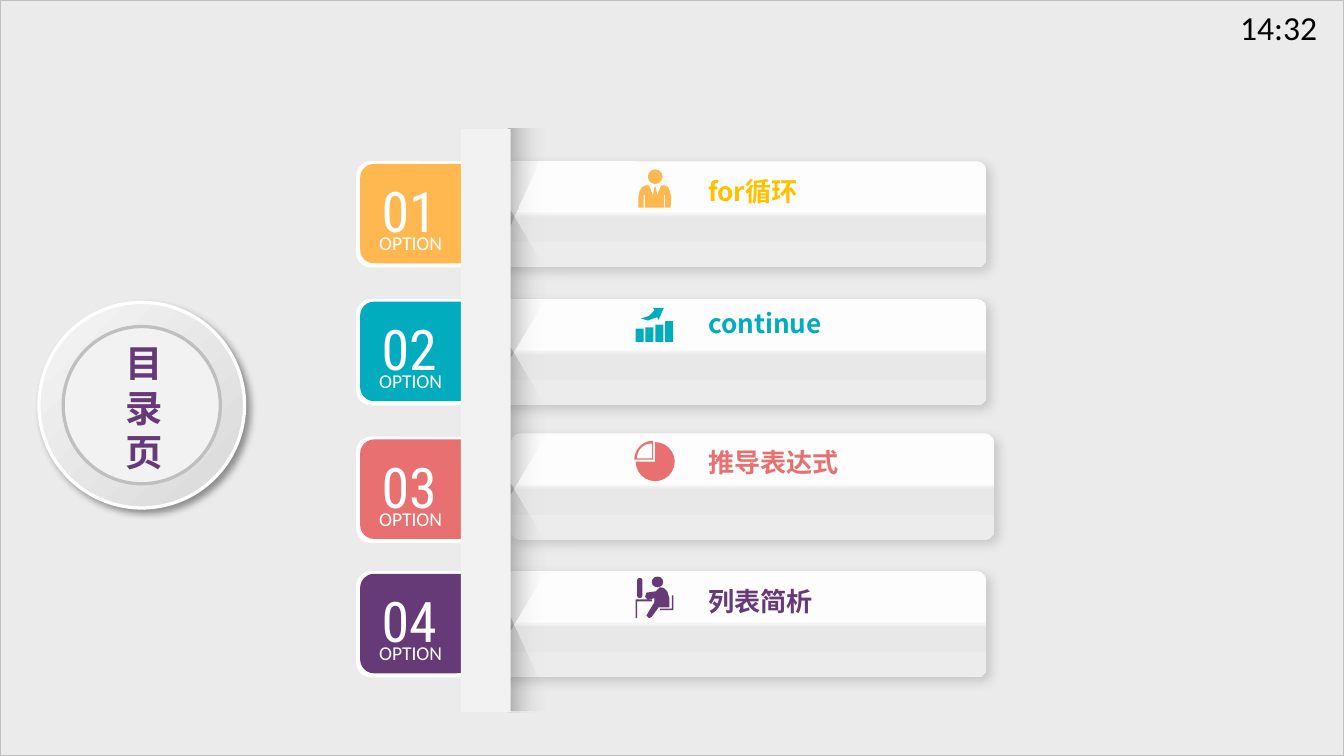
from math import cos, pi, sin
from lxml.etree import SubElement
from pptx import Presentation
from pptx.dml.color import RGBColor
from pptx.enum.shapes import MSO_SHAPE as KIND
from pptx.enum.text import MSO_ANCHOR, PP_ALIGN
from pptx.oxml.ns import qn
from pptx.util import Inches, Pt

CELL = Inches(0.1)
WIDE, HIGH = 100, 56.25
CJK = "Noto Sans CJK SC"
WHITE, PALE, GOLD, TEAL, ROSE, PLUM = (
    "FFFFFF", "F2F2F2", "FFB850", "01ACBE", "E87071", "663A77")


def color(code):
    return RGBColor.from_string(code)


def cells(*sizes):
    return [round(size * CELL) for size in sizes]


def paint(shape, fill, edge=None, width=1.75):
    shape.shadow.inherit = False
    if isinstance(fill, str):
        shape.fill.solid()
        shape.fill.fore_color.rgb = color(fill)
    else:
        blend(shape, *fill)
    if edge:
        shape.line.color.rgb = color(edge)
        shape.line.width = Pt(width)
    else:
        shape.line.fill.background()
    return shape


def blend(shape, angle, *stops):
    shape.fill.background()
    blank = shape.element.spPr.find(qn("a:noFill"))
    grad = blank.makeelement(qn("a:gradFill"), {"rotWithShape": "1"})
    stack = SubElement(grad, qn("a:gsLst"))
    for place, code, alpha in stops:
        stop = SubElement(stack, qn("a:gs"), pos=str(place * 1000))
        tint = SubElement(stop, qn("a:srgbClr"), val=code)
        SubElement(tint, qn("a:alpha"), val=str(alpha * 1000))
    SubElement(grad, qn("a:lin"), ang=str(angle * 60000), scaled="0")
    blank.getparent().replace(blank, grad)


def shade(shape, alpha, blur, dist):
    effects = shape.element.spPr.find(qn("a:effectLst"))
    drop = SubElement(effects, qn("a:outerShdw"), blurRad=str(Pt(blur)),
                      dist=str(Pt(dist)), dir="2700000", algn="tl", rotWithShape="0")
    tint = SubElement(drop, qn("a:srgbClr"), val="000000")
    SubElement(tint, qn("a:alpha"), val=str(alpha * 1000))


def block(slide, box, fill, kind=KIND.RECTANGLE, adj=None, **edge):
    shape = slide.shapes.add_shape(kind, *cells(*box))
    if adj is not None:
        shape.adjustments[0] = adj
    return paint(shape, fill, **edge)


def outline(slide, points, fill):
    dots = [(x * 100, y * 100) for x, y in points]
    form = slide.shapes.build_freeform(*dots[0], scale=CELL / 100)
    form.add_line_segments(dots[1:], close=True)
    return paint(form.convert_to_shape(), fill)


def write(shape, words, size, hue, face="Calibri", bold=False,
          align=PP_ALIGN.LEFT, anchor=MSO_ANCHOR.MIDDLE, pitch=None):
    frame = shape.text_frame
    frame.word_wrap = True
    frame.vertical_anchor = anchor
    para = frame.paragraphs[0]
    para.alignment = align
    if pitch:
        para.line_spacing = Pt(pitch)
    run = para.add_run()
    run.text = words
    run.font.size = Pt(size)
    run.font.bold = bold
    run.font.color.rgb = color(hue)
    run.font.name = face
    SubElement(run.font._element, qn("a:ea"), typeface=face)


def label(slide, box, words, size, hue, **style):
    write(slide.shapes.add_textbox(*cells(*box)), words, size, hue, **style)


def badge(slide):
    ring = block(slide, (2.9, 22.5, 15.3, 15.3),
                 (45, (0, "F5F5F5", 100), (100, "D9D9D9", 100)),
                 KIND.OVAL, edge=WHITE)
    shade(ring, 40, 4, 3)
    block(slide, (4.7, 24.3, 11.7, 11.7), PALE, KIND.OVAL, edge="BFBFBF")
    title = slide.shapes.title
    title.left, title.top, title.width, title.height = cells(7.5, 24.75, 6.5, 11.1)
    write(title, "目录页", 20, PLUM, face=CJK, bold=True,
          align=PP_ALIGN.CENTER, pitch=24)
    title.element.getparent().append(title.element)


def tab(slide, top, number, hue):
    block(slide, (26.5, top, 8.8, 7.9), WHITE, KIND.ROUNDED_RECTANGLE, 0.14)
    block(slide, (26.8, top + 0.2, 8.7, 7.4), hue, KIND.ROUNDED_RECTANGLE, 0.14)
    style = dict(align=PP_ALIGN.CENTER, anchor=MSO_ANCHOR.TOP)
    label(slide, (26.2, top + 0.65, 8.5, 6.1), number, 30, WHITE,
          face="Roboto Condensed", **style)
    label(slide, (26.3, top + 4.7, 8.5, 2.8), "OPTION", 10.5, WHITE, **style)


def card(slide, left, top):
    fill = (90, (47, "FDFDFD", 100), (53, "E8E8E8", 100), (100, "ECECEC", 100))
    shape = block(slide, (left, top, 36, 7.9), fill, KIND.ROUNDED_RECTANGLE, 0.09)
    shade(shape, 14, 6, 3)


def band(slide):
    dark, clear = "000000", (100, PALE, 0)
    block(slide, (37.8, 9.6, 2.8, 43.4), (0, (0, dark, 8), clear))
    fade = (0, (0, dark, 21), clear)
    for near, edge, slope in ((17.1, 9.6, 10.5), (45.6, 52.9, 52)):
        outline(slide, [(40.7, slope), (37.8, near), (37.8, edge), (40.7, edge)], fade)
    for top in (19.7, 29.9, 40):
        fold = block(slide, (33.5, top, 11.5, 2.8),
                     (90, (0, PALE, 0), (100, dark, 21)), KIND.TRAPEZOID, 1.74)
        fold.rotation = 90
    block(slide, (34.3, 9.6, 3.7, 43.4), PALE)


def person(slide, hue):
    block(slide, (48.2, 12.6, 1.1, 1.1), hue, KIND.OVAL)
    outline(slide, [
        (47.5, 15.45), (47.5, 14.7), (47.6, 14.2), (47.8, 13.9), (48.05, 13.8),
        (48.3, 13.8), (48.5, 14.3), (48.7, 14.9), (48.6, 14.5), (48.7, 13.9),
        (48.8, 13.9), (48.9, 14.5), (48.75, 14.95), (49, 14.3), (49.2, 13.8),
        (49.45, 13.8), (49.7, 13.9), (49.85, 14.2), (49.95, 14.7), (49.9, 15.45),
        (49.5, 15.45), (49.5, 14.5), (49.4, 14.5), (49.4, 15.45),
        (48, 15.45), (48, 14.5), (47.9, 14.5), (47.9, 15.45)], hue)


def growth(slide, hue):
    for step, high in enumerate((1, 1.1, 1.3, 1.55)):
        block(slide, (47.3 + 0.73 * step, 25.45 - high, 0.6, high), hue)
    outline(slide, [(48.7, 23.1), (48.3, 23.5), (47.7, 23.7), (48.2, 23.85),
                    (48.9, 23.6), (49, 23.8), (49.4, 22.9), (48.6, 22.9)], hue)


def wedge(slide, x, y, size, hue):
    turns = [pi + pi / 2 * step / 12 for step in range(13)]
    arc = [(x + size * cos(turn), y + size * sin(turn)) for turn in turns]
    outline(slide, [(x, y)] + arc, hue)


def chart(slide, hue):
    block(slide, (47.3, 32.9, 2.9, 2.9), hue, KIND.PIE).rotation = 270
    wedge(slide, 48.6, 34.2, 1.4, hue)
    wedge(slide, 48.5, 34.1, 1.1, "FDFDFD")


def desk(slide, hue):
    outline(slide, [(47.3, 44.6), (48.5, 44.6), (48.5, 44.75), (47.4, 44.75),
                    (47.4, 46), (47.3, 46)], hue)
    block(slide, (47.4, 43, 0.4, 1.5), hue, KIND.ROUNDED_RECTANGLE, 0.5)
    block(slide, (48.5, 42.9, 0.85, 0.8), hue, KIND.OVAL)
    outline(slide, [
        (48.1, 45.8), (48.7, 44.8), (48.7, 44.5), (48.2, 44.65), (48, 44.4),
        (48.1, 44.1), (48.8, 44), (49.1, 43.7), (49.4, 43.75), (49.65, 44),
        (49.8, 44.5), (49.8, 45.2), (49, 45.2), (48.5, 45.9), (48.3, 46)], hue)
    outline(slide, [(49.1, 45.3), (50, 45.3), (50, 44.3), (50.1, 44.3),
                    (50.1, 45.4), (49.1, 45.4)], hue)


def main():
    deck = Presentation()
    deck.slide_width, deck.slide_height = cells(WIDE, HIGH)
    slide = deck.slides.add_slide(deck.slide_layouts[5])
    block(slide, (0, 0, WIDE, HIGH), "EBEBEB", edge="BFBFBF", width=1)
    label(slide, (91.3, 0, 8.7, 4), "14:32", 18, "000000")
    badge(slide)
    items = [
        (12, 37.4, 12, 12.5, "for循环", GOLD, "FFC000", person),
        (22.25, 37.4, 22.25, 22.35, "continue", TEAL, TEAL, growth),
        (32.5, 38, 32.25, 32.7, "推导表达式", ROSE, ROSE, chart),
        (42.5, 37.4, 42.5, 43, "列表简析", PLUM, PLUM, desk)]
    for index, (top, left, high, *rest) in enumerate(items, 1):
        tab(slide, top, f"{index:02}", rest[2])
        card(slide, left, high)
    band(slide)
    for *rest, line, words, hue, ink, icon in items:
        icon(slide, hue)
        label(slide, (51.7, line, 14, 3.4), words, 14, ink, face=CJK, bold=True)
    deck.save("out.pptx")


if __name__ == "__main__":
    main()
